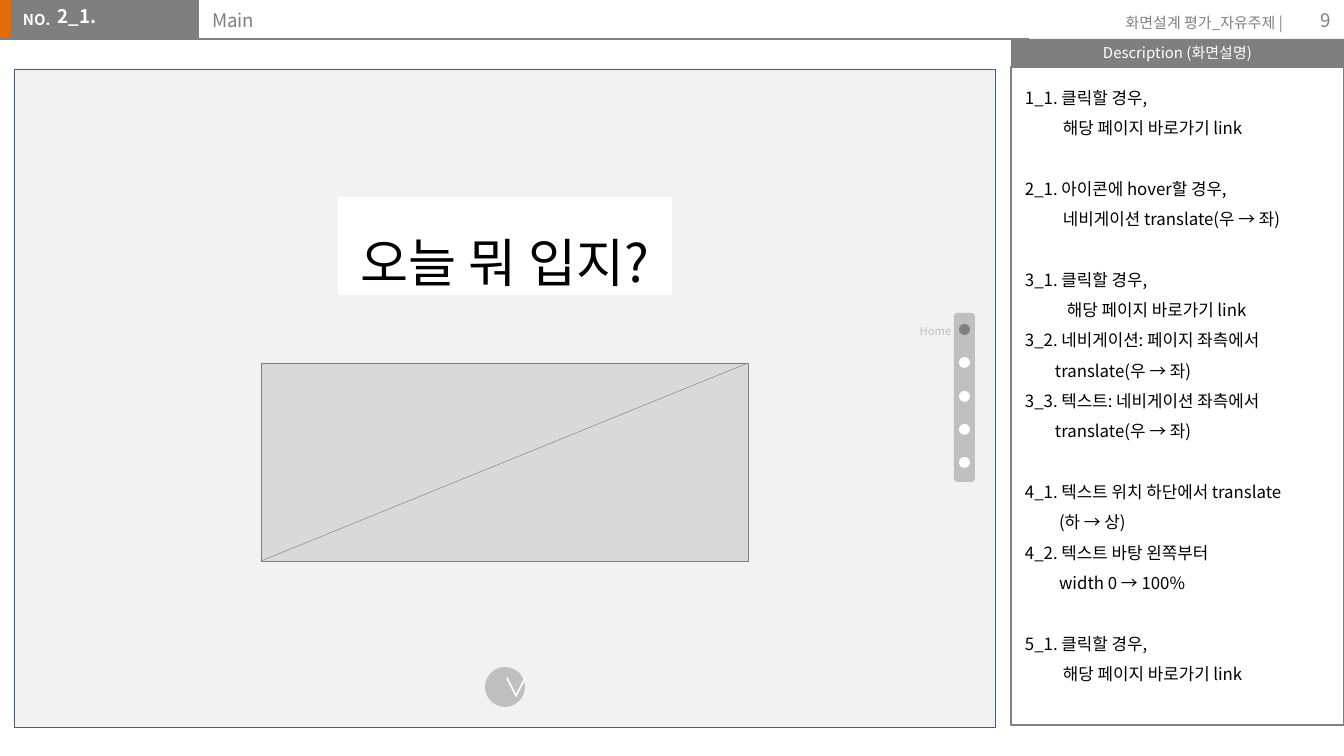
from dataclasses import dataclass

from lxml import etree
from pptx import Presentation
from pptx.dml.color import RGBColor
from pptx.enum.shapes import MSO_CONNECTOR, MSO_SHAPE
from pptx.enum.text import MSO_ANCHOR, MSO_AUTO_SIZE, PP_ALIGN
from pptx.oxml.ns import qn
from pptx.util import Pt

PX = 914400 / 134.4
LEFT, CENTER, RIGHT = PP_ALIGN.LEFT, PP_ALIGN.CENTER, PP_ALIGN.RIGHT
TOP, MIDDLE = MSO_ANCHOR.TOP, MSO_ANCHOR.MIDDLE


@dataclass(frozen=True)
class Theme:
    font: str = "Noto Sans CJK KR"
    accent: str = "E36C09"
    bar: str = "7F7F7F"
    outline: str = "808080"
    frame: str = "3A5F8C"
    canvas: str = "F2F2F2"
    picture: str = "D9D9D9"
    control: str = "BFBFBF"
    white: str = "FFFFFF"
    black: str = "000000"
    tiny: int = 6
    small: int = 8
    body: int = 9
    title: int = 10
    arrow: int = 14
    headline: int = 28
    thin: float = 0.25
    rule: float = 0.75
    spacing: float = 1.5
    group_gap: float = 16.2


def px(value):
    return round(value * PX)


class Wireframe:
    """Draws wireframe elements on one slide in a shared style."""

    def __init__(self, slide, theme):
        self.slide, self.theme = slide, theme

    def stroke(self, line, color, width):
        line.color.rgb = RGBColor.from_string(color)
        line.width = Pt(width)

    def shape(self, kind, box, fill=None, line=None, width=0.25):
        shape = self.slide.shapes.add_shape(kind, *map(px, box))
        shape.shadow.inherit = False
        if fill:
            shape.fill.solid()
            shape.fill.fore_color.rgb = RGBColor.from_string(fill)
        else:
            shape.fill.background()
        if line:
            self.stroke(shape.line, line, width)
        else:
            shape.line.fill.background()
        return shape

    def rect(self, *args, **options):
        return self.shape(MSO_SHAPE.RECTANGLE, *args, **options)

    def oval(self, *args, **options):
        return self.shape(MSO_SHAPE.OVAL, *args, **options)

    def line(self, start, end, color, width):
        line = self.slide.shapes.add_connector(
            MSO_CONNECTOR.STRAIGHT, *map(px, (*start, *end)))
        self.stroke(line.line, color, width)
        etree.SubElement(line._element.spPr, qn("a:effectLst"))

    def style(self, paragraph, text, size, color, bold=False, align=LEFT, spacing=None):
        paragraph.alignment = align
        if spacing:
            paragraph.line_spacing = spacing
        run = paragraph.add_run()
        run.text = text
        font = run.font
        font.size, font.bold, font.name = Pt(size), bold, self.theme.font
        font.color.rgb = RGBColor.from_string(color)
        etree.SubElement(run._r.get_or_add_rPr(), qn("a:ea"), typeface=self.theme.font)

    def label(self, shape, text, size, color, anchor=TOP, wrap=True, top=7, **style):
        frame = shape.text_frame
        frame.auto_size = MSO_AUTO_SIZE.NONE
        frame.word_wrap, frame.vertical_anchor = wrap, anchor
        frame.margin_left = frame.margin_right = px(13)
        frame.margin_top, frame.margin_bottom = px(top), px(7)
        self.style(frame.paragraphs[0], text, size, color, **style)

    def text(self, box, *args, **options):
        self.label(self.slide.shapes.add_textbox(*map(px, box)), *args, **options)

    def title(self, box, *args, **options):
        title = self.slide.shapes.title
        title.left, title.top, title.width, title.height = map(px, box)
        self.label(title, *args, **options)

    def notes(self, box, groups):
        t = self.theme
        frame = self.slide.shapes.add_textbox(*map(px, box)).text_frame
        frame.word_wrap = True
        frame.margin_left = px(13)
        paragraph = frame.paragraphs[0]
        for number, group in enumerate(groups):
            for row, (indent, text) in enumerate(group):
                if number or row:
                    paragraph = frame.add_paragraph()
                if number and not row:
                    paragraph.space_before = Pt(t.group_gap)
                self.style(paragraph, text, t.body, t.black, spacing=t.spacing)
                paragraph._p.get_or_add_pPr().set("marL", str(px(indent)))


GO_TO_PAGE = "해당 페이지 바로가기 link"
SLIDE_LEFT = "translate(우 → 좌)"
DESCRIPTION = [
    [(0, "1_1. 클릭할 경우,"), (38, GO_TO_PAGE)],
    [(0, "2_1. 아이콘에 hover할 경우,"), (38, "네비게이션 " + SLIDE_LEFT)],
    [(0, "3_1. 클릭할 경우,"), (42, GO_TO_PAGE),
     (0, "3_2. 네비게이션: 페이지 좌측에서"), (30, SLIDE_LEFT),
     (0, "3_3. 텍스트: 네비게이션 좌측에서"), (30, SLIDE_LEFT)],
    [(0, "4_1. 텍스트 위치 하단에서 translate"), (34, "(하 → 상)"),
     (0, "4_2. 텍스트 바탕 왼쪽부터"), (34, "width 0 → 100%")],
    [(0, "5_1. 클릭할 경우,"), (38, GO_TO_PAGE)],
]

t = Theme()
deck = Presentation()
deck.slide_width, deck.slide_height = px(1344), px(756)
page = Wireframe(deck.slides.add_slide(deck.slide_layouts[5]), t)

page.rect((0, 0, 11, 39), t.accent)
page.rect((11, 0, 188, 39), t.bar)
page.text((10, 4, 56, 32), "NO.", t.small, t.white, bold=True)
page.text((45, 0, 130, 34), "2_1.", t.title, t.white, bold=True, top=5)
page.title((199, 0, 812, 39), "Main", t.title, t.bar, top=9)
page.line((0, 39), (1029, 39), t.bar, t.rule)
page.text((1075, 7, 221, 32), "화면설계 평가_자유주제 |", t.small, t.bar, align=RIGHT)
page.text((1263, 0, 81, 40), "9", t.title, t.bar, anchor=MIDDLE, align=RIGHT)

header = page.rect((1011, 39, 333, 28), t.bar)
page.label(header, "Description (화면설명)", t.small, t.white, anchor=MIDDLE, align=CENTER)
page.rect((1011, 67, 333, 658), line=t.bar, width=t.rule)
page.notes((1012, 71, 332, 654), DESCRIPTION)

page.rect((14, 69, 981, 658), t.canvas, t.frame, t.thin)
scroll = page.oval((485, 667, 40, 40), t.control)
page.label(scroll, "∨", t.arrow, t.white, anchor=MIDDLE, align=CENTER)

page.shape(MSO_SHAPE.ROUNDED_RECTANGLE, (954, 313, 21, 169), t.control)
for index in range(5):
    page.oval((959, 324 + round(index * 33.3), 11, 11), t.white if index else t.outline)
page.text((906, 312, 59, 31), "Home", t.tiny, t.control, anchor=MIDDLE, wrap=False,
          align=CENTER, spacing=t.spacing)

headline = page.rect((338, 197, 334, 98), t.white)
page.label(headline, "오늘 뭐 입지?", t.headline, t.black, anchor=MIDDLE, wrap=False,
           align=CENTER, spacing=t.spacing)

page.rect((261, 363, 487, 198), t.picture, t.outline, t.thin)
page.line((748, 363), (261, 561), t.outline, t.thin)

deck.save("out.pptx")
